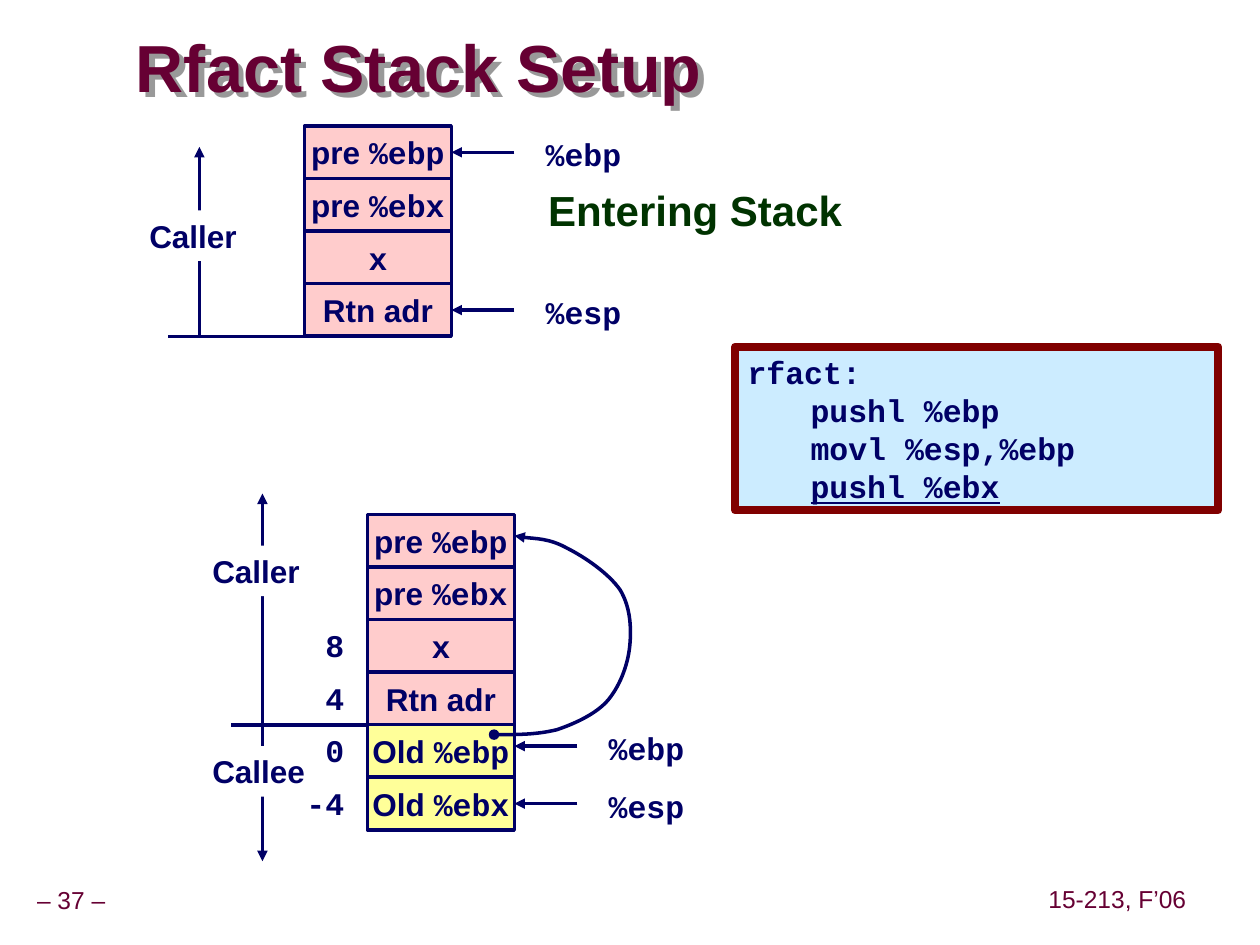
from lxml import etree
from pptx import Presentation
from pptx.dml.color import RGBColor
from pptx.enum.shapes import MSO_CONNECTOR, MSO_SHAPE
from pptx.enum.text import MSO_ANCHOR, PP_ALIGN
from pptx.oxml.ns import qn
from pptx.util import Cm, Pt

LINE, RECT = MSO_CONNECTOR.STRAIGHT, MSO_SHAPE.RECTANGLE
TOP, MID = MSO_ANCHOR.TOP, MSO_ANCHOR.MIDDLE
LEFT, CENTER, RIGHT = PP_ALIGN.LEFT, PP_ALIGN.CENTER, PP_ALIGN.RIGHT
SANS, MONO = "Arial", "Courier New"
INK = {"navy": "000066", "wine": "660033", "green": "003300", "pink": "FFCCCC",
       "yellow": "FFFF99", "white": "FFFFFF", "sky": "CCECFF", "red": "800000",
       "gray": "999999"}

CELL_W, CELL_H = 2.96, 1.06
CALLER_ROWS = 4
FRAME = [("pre ", "%ebp"), ("pre ", "%ebx"), ("", "x"), ("Rtn adr", "")]
# marks: row, label, shift from the middle of the cell
# sides: label, label top, arrow tip
STACKS = [
    {"left": 6.14, "top": 2.54, "cells": FRAME, "offsets": {},
     "marks": [(0, "%ebp", 0), (3, "%esp", 0)],
     "sides": [("Caller", 4.24, 2.96)]},
    {"left": 7.41, "top": 10.37,
     "cells": FRAME + [("Old ", "%ebp"), ("Old ", "%ebx")],
     "offsets": {2: "8", 3: "4", 4: "0", 5: "-4"},
     "marks": [(4, "%ebp", -0.1), (5, "%esp", 0)],
     "sides": [("Caller", 11, 9.95), ("Callee", 15.04, 17.36)]},
]
CODE = [["rfact:"], ["\tpushl %ebp"], ["\tmovl %esp,%ebp"], ["\t", "pushl %ebx"]]
CURVE = [(9.96, 14.81),
         (10.39, 14.81), (10.82, 14.81), (11.23, 14.71),
         (11.61, 14.58), (12.04, 14.38), (12.27, 14.1),
         (12.52, 13.79), (12.67, 13.36), (12.7, 12.98),
         (12.73, 12.62), (12.7, 12.22), (12.5, 11.89),
         (12.27, 11.56), (11.79, 11.23), (11.43, 11.05),
         (11.07, 10.85), (10.54, 10.85), (10.37, 10.8)]

deck = Presentation()
deck.slide_width, deck.slide_height = Cm(25.4), Cm(19.05)
slide = deck.slides.add_slide(deck.slide_layouts[6])
shapes = slide.shapes


def rgb(name):
    return RGBColor.from_string(INK[name])


def write(shape, lines, size=18, color="navy", bold=True, font=SANS, align=LEFT,
          anchor=TOP, pad=(0.25, 0.13), wrap=False, space=None, tab=None):
    """Fill a shape with lines of runs; a run is a text or a (text, font) pair."""
    frame = shape.text_frame
    frame.word_wrap, frame.vertical_anchor = wrap, anchor
    frame.margin_left = frame.margin_right = Cm(pad[0])
    frame.margin_top = frame.margin_bottom = Cm(pad[1])
    for i, line in enumerate(lines):
        para = frame.add_paragraph() if i else frame.paragraphs[0]
        if tab:
            stops = etree.SubElement(para._p.get_or_add_pPr(), qn("a:tabLst"))
            etree.SubElement(stops, qn("a:tab"), pos=str(Cm(tab)), algn="l")
        para.alignment = align
        if space:
            para.line_spacing = space
        for item in line:
            text, face = item if isinstance(item, tuple) else (item, font)
            run = para.add_run()
            run.text = text
            run.font.name, run.font.size, run.font.bold = face, Pt(size), bold
            run.font.color.rgb = rgb(color)
    return shape


def label(text, x, y, w, h=1.02, **style):
    box = shapes.add_textbox(Cm(x), Cm(y), Cm(w), Cm(h))
    return write(box, [[text]], **style)


def block(x, y, w, h, fill, edge=None, width=2):
    box = shapes.add_shape(RECT, Cm(x), Cm(y), Cm(w), Cm(h))
    box.shadow.inherit = False
    box.fill.solid()
    box.fill.fore_color.rgb = rgb(fill)
    if edge:
        box.line.color.rgb, box.line.width = rgb(edge), Pt(width)
    else:
        box.line.fill.background()
    return box


def stroke(shape, head=None, tail=None):
    """Give a line its colour, width and end marks."""
    shape.line.color.rgb, shape.line.width = rgb("navy"), Pt(2)
    for tag, kind in (("a:headEnd", head), ("a:tailEnd", tail)):
        if kind:
            etree.SubElement(shape.line._get_or_add_ln(), qn(tag), type=kind)


def rule(x1, y1, x2, y2, tail=None):
    line = shapes.add_connector(LINE, Cm(x1), Cm(y1), Cm(x2), Cm(y2))
    stroke(line, tail=tail)
    etree.SubElement(line._element.spPr, qn("a:effectLst"))
    return line


def stack(left, top, cells, offsets, marks, sides):
    base = top + CALLER_ROWS * CELL_H
    rule(left, base, left - 2.76, base)
    for name, y, tip in sides:
        rule(left - 2.12, base, left - 2.12, tip, "triangle")
    for name, y, tip in sides:
        write(block(left - 3.38, y, 2.3, 1.02, "white"), [[name]])

    boxes = []
    for row, (word, code) in enumerate(cells):
        fill = "pink" if row < CALLER_ROWS else "yellow"
        box = block(left, top + row * CELL_H, CELL_W, CELL_H, fill, "navy")
        runs = [run for run in ((word, SANS), (code, MONO)) if run[0]]
        boxes.append(write(box, [runs], align=CENTER, anchor=MID))
    for row, text in offsets.items():
        label(text, left - 1.87, top + row * CELL_H, 1.65, font=MONO, align=RIGHT)

    side = left + CELL_W
    for row, text, shift in marks:
        y = top + (row + 0.5) * CELL_H + shift
        arrow = rule(side + 1.27, y, side, y, "triangle")
        if not shift:
            arrow.end_connect(boxes[row], 3)
        label(text, side + 1.65, y - 0.47, 2.03, font=MONO)


def curve(points):
    """Draw a cubic path: a start, then three points to each piece."""
    start, *rest = [(Cm(x), Cm(y)) for x, y in points]
    maker = shapes.build_freeform(*start)
    maker.add_line_segments(rest, close=False)
    shape = maker.convert_to_shape()
    shape.shadow.inherit = False
    shape.fill.background()
    stroke(shape, "oval", "triangle")
    path = next(shape._element.iter(qn("a:path")))
    steps = path.findall(qn("a:lnTo"))
    for i in range(0, len(steps), 3):
        bend = etree.SubElement(path, qn("a:cubicBezTo"))
        for step in steps[i:i + 3]:
            bend.append(step[0])
            path.remove(step)


def shade(shape):
    """Cast a hard gray shadow from the text of an unfilled box."""
    effects = etree.SubElement(shape._element.spPr, qn("a:effectLst"))
    cast = etree.SubElement(effects, qn("a:outerShdw"), dist=str(Cm(0.16)),
                            dir="2700000", algn="ctr", rotWithShape="0")
    etree.SubElement(cast, qn("a:srgbClr"), val=INK["gray"])


foot = dict(size=14, color="wine", bold=False, align=CENTER, anchor=MID,
            pad=(0.13, 0.13), space=0.9)
label("– 37 –", 0, 17.78, 2.87, 0.8, **foot)
label("15-213, F’06", 21, 17.76, 3.05, 0.8, **foot)
shade(label("Rfact Stack Setup", 2.74, 0.64, 15.52, 1.6, size=38, color="wine",
            anchor=MID, pad=(0, 0), wrap=True, space=0.87))
label("Entering Stack", 10.8, 3.6, 6.43, 1.27, size=24, color="green")
for data in STACKS:
    stack(**data)
curve(CURVE)
listing = write(block(14.82, 6.99, 9.74, 3.3, "sky", "red", 4.5), CODE,
                font=MONO, wrap=True, tab=1.27)
listing.text_frame.paragraphs[-1].runs[-1].font.underline = True

deck.save("out.pptx")
